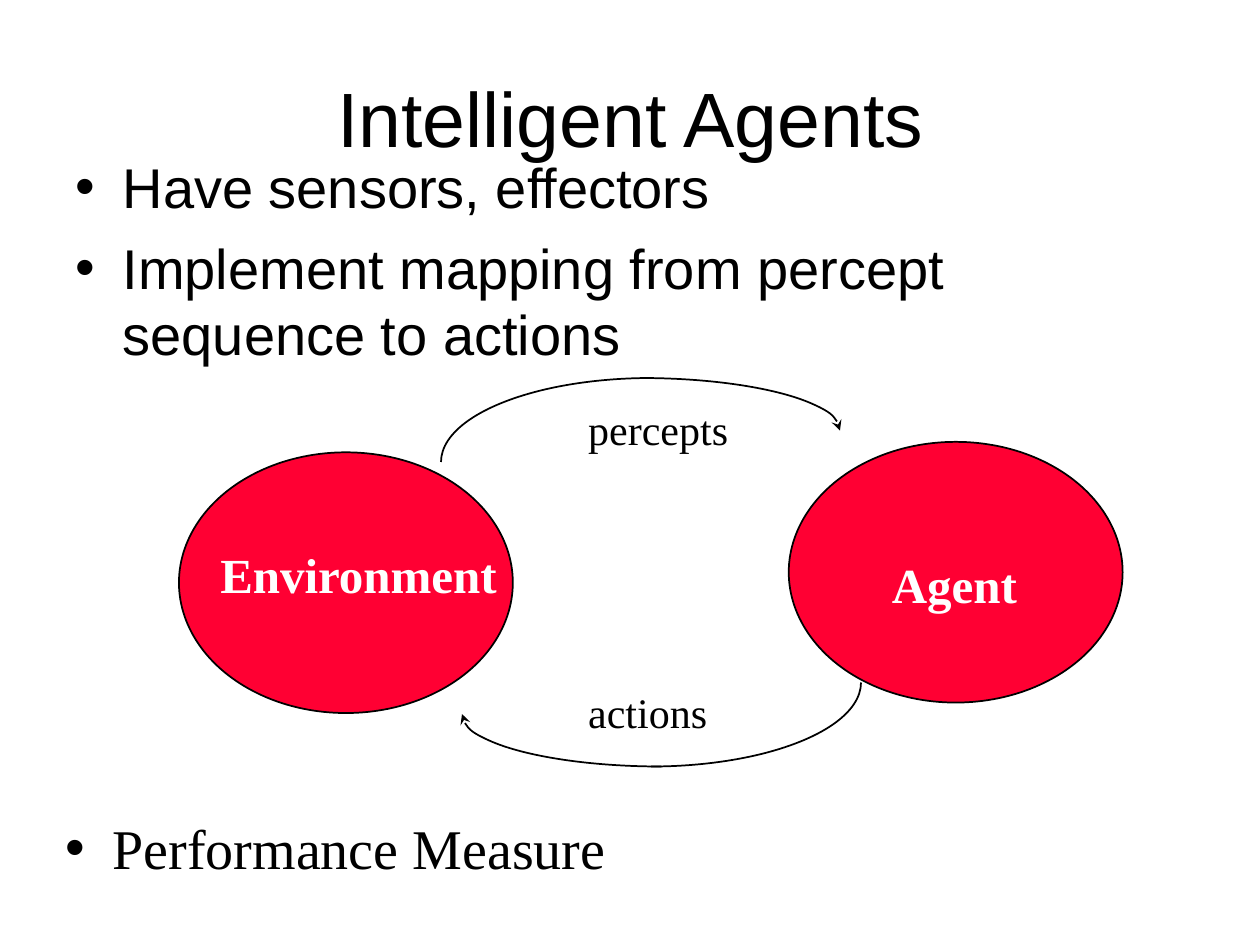
import lxml.etree
import pptx
import pptx.dml.color
import pptx.enum.shapes
import pptx.enum.text
import pptx.oxml.ns
import pptx.util

Pt = pptx.util.Pt
SHAPE = pptx.enum.shapes.MSO_SHAPE
ALIGN = pptx.enum.text.PP_ALIGN
ANCHOR = pptx.enum.text.MSO_ANCHOR

THEME = {
    "black": pptx.dml.color.RGBColor(0x00, 0x00, 0x00),
    "white": pptx.dml.color.RGBColor(0xFF, 0xFF, 0xFF),
    "red": pptx.dml.color.RGBColor(0xFF, 0x00, 0x33),
    "sans": "Arial",
    "serif": "Times New Roman",
    "title": 44,
    "body": 32,
    "node": 28,
    "label": 24,
    "line": 1,
    "leading": 38,
    "paragraph_gap": 8,
    "bullet_indent": 27,
}

TITLE = ("Intelligent Agents", (85, 21.6, 550.8, 90))
BULLET_BOXES = [
    (["Have sensors, effectors",
      "Implement mapping from percept sequence to actions"],
     (36, 84.24, 612, 324), "sans"),
    (["Performance Measure"], (30.24, 461.5, 612, 54), "serif"),
]
NODE_SIZE = (190.8, 149)
# name, ellipse left and top, text box
NODES = [
    ("Environment", (102.24, 258.5), (118.8, 307.44, 172.8, 41)),
    ("Agent", (450.72, 252.5), (502.56, 313.2, 85.68, 41)),
]
# ellipse box, start and end angle clockwise from the right, arrowhead at end
ARCS = [
    ((252, 216, 240, 96), 180, 270, False),
    ((252, 216, 228, 60), 270, 0, True),
    ((252, 342, 240, 96), 0, 90, False),
    ((264, 378, 228, 60), 90, 180, True),
]
FLOW_LABELS = [
    ("percepts", (329.04, 226.8, 94.32, 36)),
    ("actions", (329.04, 388.8, 82.8, 36)),
]


def set_all(target, values):
    for name, value in values.items():
        setattr(target, name, value)


def add_child(parent, tag, **attributes):
    return lxml.etree.SubElement(parent, pptx.oxml.ns.qn(tag), attributes)


def add_bullet(para):
    indent = Pt(THEME["bullet_indent"])
    properties = para._p.get_or_add_pPr()
    properties.set("marL", str(indent))
    properties.set("indent", str(-indent))
    add_child(properties, "a:buFont", typeface=THEME["sans"])
    add_child(properties, "a:buChar", char="•")
    para.line_spacing = Pt(THEME["leading"])


def add_text(slide, lines, place, font, size, color="black", bold=False,
             align=ALIGN.LEFT, anchor=ANCHOR.TOP, wrap=True, bullets=False):
    frame = slide.shapes.add_textbox(*map(Pt, place)).text_frame
    set_all(frame, {"word_wrap": wrap, "vertical_anchor": anchor})
    for index, line in enumerate(lines):
        para = frame.add_paragraph() if index else frame.paragraphs[0]
        para.alignment = align
        if bullets:
            add_bullet(para)
        if index:
            para.space_before = Pt(THEME["paragraph_gap"])
        span = para.add_run()
        span.text = line
        set_all(span.font, {"name": THEME[font], "size": Pt(THEME[size]), "bold": bold})
        span.font.color.rgb = THEME[color]


def add_outlined(slide, preset, place):
    shape = slide.shapes.add_shape(preset, *map(Pt, place))
    shape.shadow.inherit = False
    shape.line.color.rgb = THEME["black"]
    shape.line.width = Pt(THEME["line"])
    return shape


def add_node(slide, name, corner, text_place):
    ellipse = add_outlined(slide, SHAPE.OVAL, corner + NODE_SIZE)
    ellipse.fill.solid()
    ellipse.fill.fore_color.rgb = THEME["red"]
    add_text(slide, [name], text_place, "serif", "node", "white", bold=True, wrap=False)


def add_arc(slide, place, start, end, arrow):
    arc = add_outlined(slide, SHAPE.ARC, place)
    arc.fill.background()
    for index, degrees in enumerate((start, end)):
        # Angles are stored in 1/60000 degree, adjustments in 1/100000
        arc.adjustments[index] = degrees * 0.6
    if arrow:
        add_child(arc.line._get_or_add_ln(), "a:tailEnd", type="stealth")


def main():
    deck = pptx.Presentation()
    set_all(deck, {"slide_width": Pt(720), "slide_height": Pt(540)})
    slide = deck.slides.add_slide(deck.slide_layouts[6])

    title, place = TITLE
    add_text(slide, [title], place, "sans", "title", align=ALIGN.CENTER, anchor=ANCHOR.MIDDLE)
    for lines, place, font in BULLET_BOXES:
        add_text(slide, lines, place, font, "body", bullets=True)
    for node in NODES:
        add_node(slide, *node)
    for arc in ARCS:
        add_arc(slide, *arc)
    for label, place in FLOW_LABELS:
        add_text(slide, [label], place, "serif", "label", wrap=False)

    deck.save("out.pptx")


if __name__ == "__main__":
    main()
